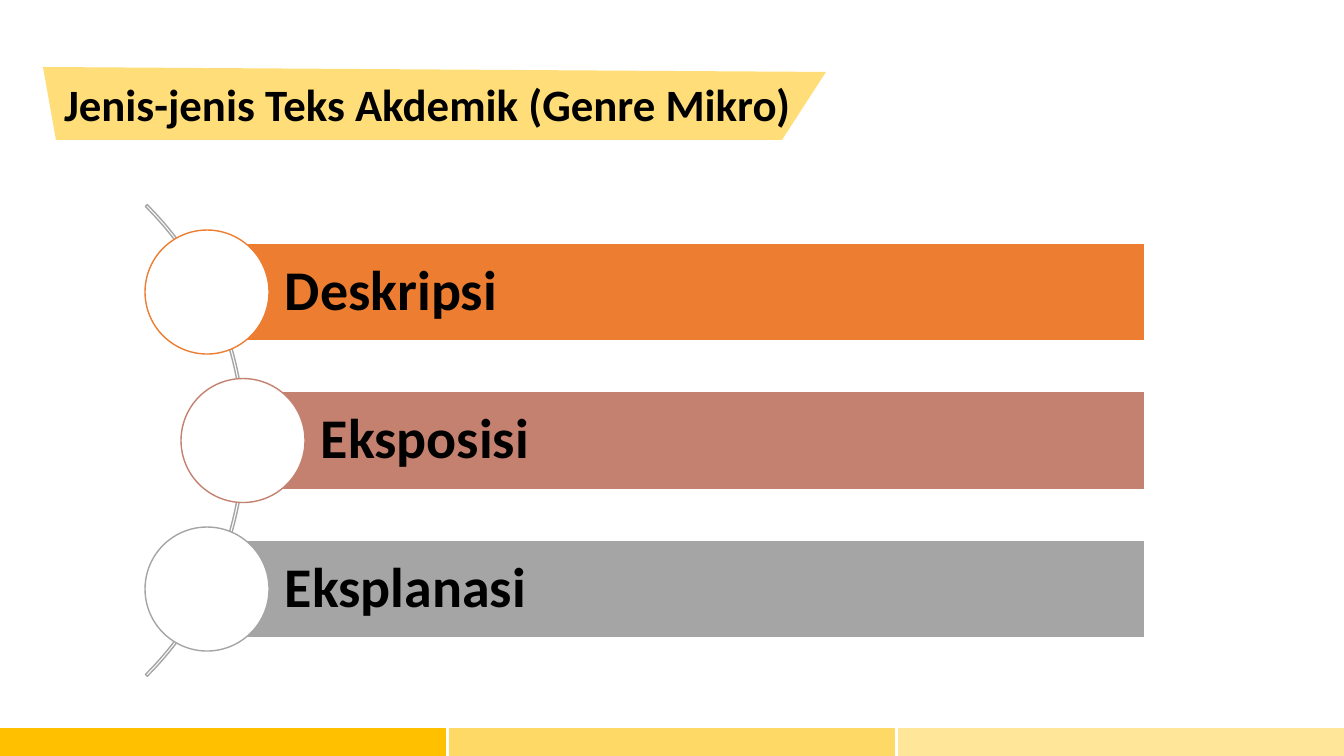
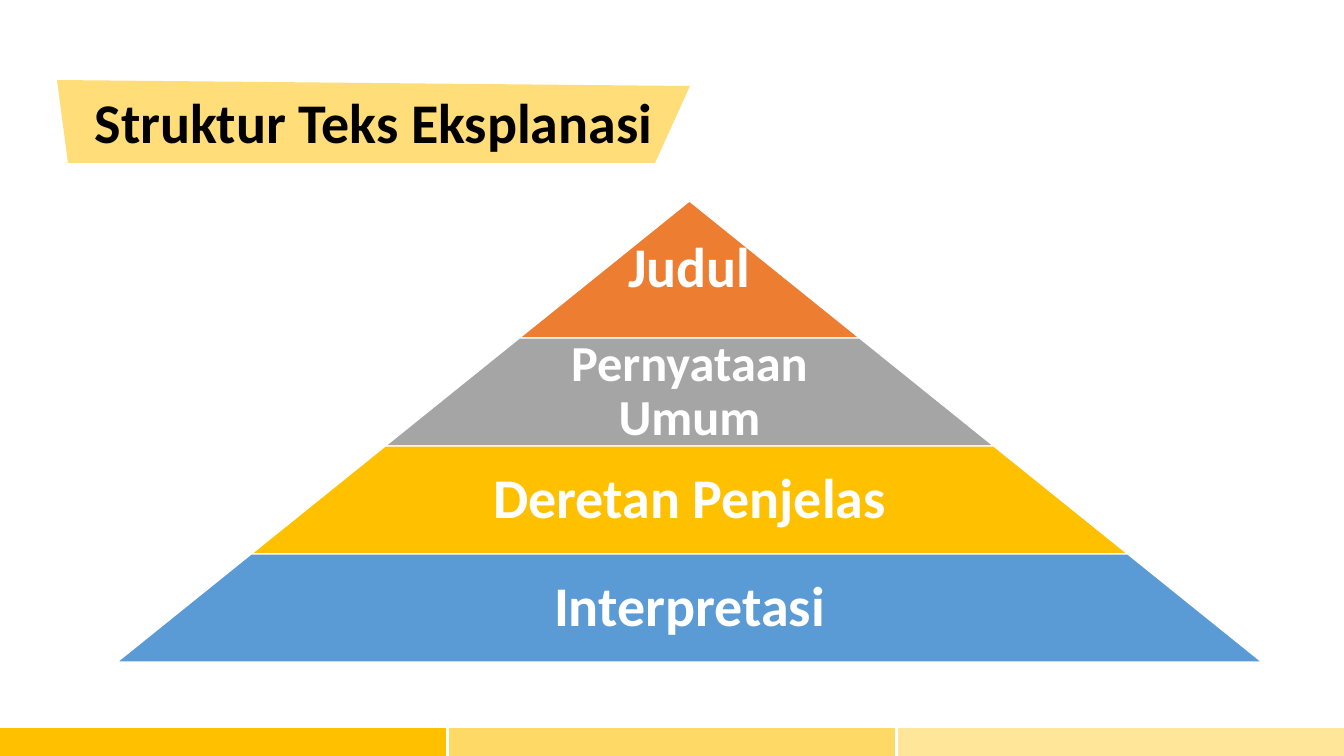
from typing import NamedTuple

from lxml.etree import SubElement
from pptx import Presentation
from pptx.dml.color import RGBColor
from pptx.enum.shapes import MSO_SHAPE
from pptx.enum.text import MSO_ANCHOR, MSO_AUTO_SIZE, PP_ALIGN
from pptx.oxml.ns import qn
from pptx.util import Emu, Pt

SCALE = 914400 / 100.8
PAGE_WIDTH, PAGE_HEIGHT = 1344, 756
TITLE_ONLY = 5
FONT = "Calibri"
COLOURS = {
    "black": "000000",
    "white": "FFFFFF",
    "amber": "FFC000",
    "yellow": "FFD966",
    "cream": "FFE699",
    "orange": "ED7D31",
    "rose": "C48170",
    "grey": "A5A5A5",
    "blue": "5B9BD5",
}


class Box(NamedTuple):
    left: float
    top: float
    width: float
    height: float


def px(length):
    return Emu(round(length * SCALE))


def place(box):
    return [px(length) for length in box]


def colour(name):
    return RGBColor.from_string(COLOURS[name])


def paint(shape, fill=None, line=None):
    shape.shadow.inherit = False
    if fill:
        shape.fill.solid()
        shape.fill.fore_color.rgb = colour(fill)
    else:
        shape.fill.background()
    if line:
        shape.line.color.rgb = colour(line)
        shape.line.width = Pt(1)
    else:
        shape.line.fill.background()


def add_figure(page, kind, box, fill=None, line=None):
    shape = page.shapes.add_shape(kind, *place(box))
    paint(shape, fill, line)
    return shape


def write(shape, text, size, ink="black", align=PP_ALIGN.CENTER, inset=0, spacing=1.0):
    frame = shape.text_frame
    frame_format = {
        "word_wrap": True,
        "auto_size": MSO_AUTO_SIZE.NONE,
        "vertical_anchor": MSO_ANCHOR.MIDDLE,
        "margin_left": px(inset),
        "margin_right": px(0),
        "margin_top": px(0),
        "margin_bottom": px(0),
    }
    for name, value in frame_format.items():
        setattr(frame, name, value)
    para = frame.paragraphs[0]
    para.alignment = align
    para.line_spacing = spacing
    span = para.add_run()
    span.text = text
    for name, value in {"name": FONT, "size": Pt(size), "bold": True}.items():
        setattr(span.font, name, value)
    span.font.color.rgb = colour(ink)


def add_footer(page, box):
    bands = ["amber", "yellow", "cream"]
    gap = 4
    width = (box.width - gap * (len(bands) - 1)) / len(bands)
    for index, band in enumerate(bands):
        left = box.left + index * (width + gap)
        add_figure(page, MSO_SHAPE.RECTANGLE, Box(left, box.top, width, box.height), band, band)


def add_title(page, box, text, size, right_margin=0):
    right, bottom = box.left + box.width, box.top + box.height
    outline = page.shapes.build_freeform(box.left, box.top, scale=SCALE)
    outline.add_line_segments([
        (round(box.left + box.width * 0.017), bottom),
        (round(right - box.width * 0.056), bottom),
        (right, round(box.top + box.height * 0.07)),
    ], close=True)
    banner = outline.convert_to_shape()
    paint(banner, "yellow")
    tint = next(banner.element.iter(qn("a:srgbClr")))
    SubElement(tint, qn("a:alpha")).set("val", "88000")

    title = page.shapes.title
    title.element.addprevious(banner.element)
    title.left, title.top, title.width, title.height = place(
        box._replace(width=box.width - right_margin))
    write(title, text, size)


def add_genre_list(page, box, genres):
    bar_height, circle_size, arc_size = 98, 124, 667
    pitch = (box.height - bar_height) / (len(genres) - 1)
    arc_box = Box(box.left - 629, box.top + (box.height - arc_size) / 2, arc_size, arc_size)
    arc = add_figure(page, MSO_SHAPE.BLOCK_ARC, arc_box, line="grey")
    for index, value in enumerate([189, 27, 0.004]):
        arc.adjustments[index] = value
    for index, (text, fill, indent) in enumerate(genres):
        left, top = box.left + indent, box.top + index * pitch
        bar_box = Box(left, top, box.width - indent, bar_height)
        bar = add_figure(page, MSO_SHAPE.RECTANGLE, bar_box, fill, "white")
        write(bar, text, 40, align=PP_ALIGN.LEFT, inset=78, spacing=0.9)
        circle_box = Box(left - circle_size / 2, top + (bar_height - circle_size) / 2,
                         circle_size, circle_size)
        add_figure(page, MSO_SHAPE.OVAL, circle_box, "white", fill)


def add_pyramid(page, box, levels):
    centre = box.left + box.width / 2
    slope = box.width / 2 / box.height
    depth = 0
    for text, fill, height, size in levels:
        top = box.top + depth
        depth += height
        width = 2 * slope * depth
        level_box = Box(centre - width / 2, top, width, height)
        level = add_figure(page, MSO_SHAPE.TRAPEZOID, level_box, fill, "white")
        level.adjustments[0] = slope
        label_width = width * 0.62
        label_box = Box(centre - label_width / 2, top, label_width, height)
        label = page.shapes.add_textbox(*place(label_box))
        write(label, text, size, "white", spacing=0.9)


def add_page(deck):
    page = deck.slides.add_slide(deck.slide_layouts[TITLE_ONLY])
    add_footer(page, Box(0, 729, PAGE_WIDTH, 27))
    return page


def add_genre_page(deck):
    page = add_page(deck)
    add_title(page, Box(43, 67, 783, 73), "Jenis-jenis Teks Akdemik (Genre Mikro)", 32, 14)
    add_genre_list(page, Box(207, 243, 938, 395), [
        ("Deskripsi", "orange", 0),
        ("Eksposisi", "rose", 36),
        ("Eksplanasi", "grey", 0),
    ])


def add_structure_page(deck):
    page = add_page(deck)
    add_title(page, Box(57, 80, 633, 83), "Struktur Teks Eksplanasi", 40)
    add_pyramid(page, Box(117, 201, 1145, 461), [
        ("Judul", "orange", 137, 40),
        ("Pernyataan Umum", "grey", 108, 36),
        ("Deretan Penjelas", "amber", 108, 40),
        ("Interpretasi", "blue", 108, 40),
    ])


def main():
    deck = Presentation()
    deck.slide_width, deck.slide_height = px(PAGE_WIDTH), px(PAGE_HEIGHT)
    add_genre_page(deck)
    add_structure_page(deck)
    deck.save("out.pptx")


if __name__ == "__main__":
    main()
